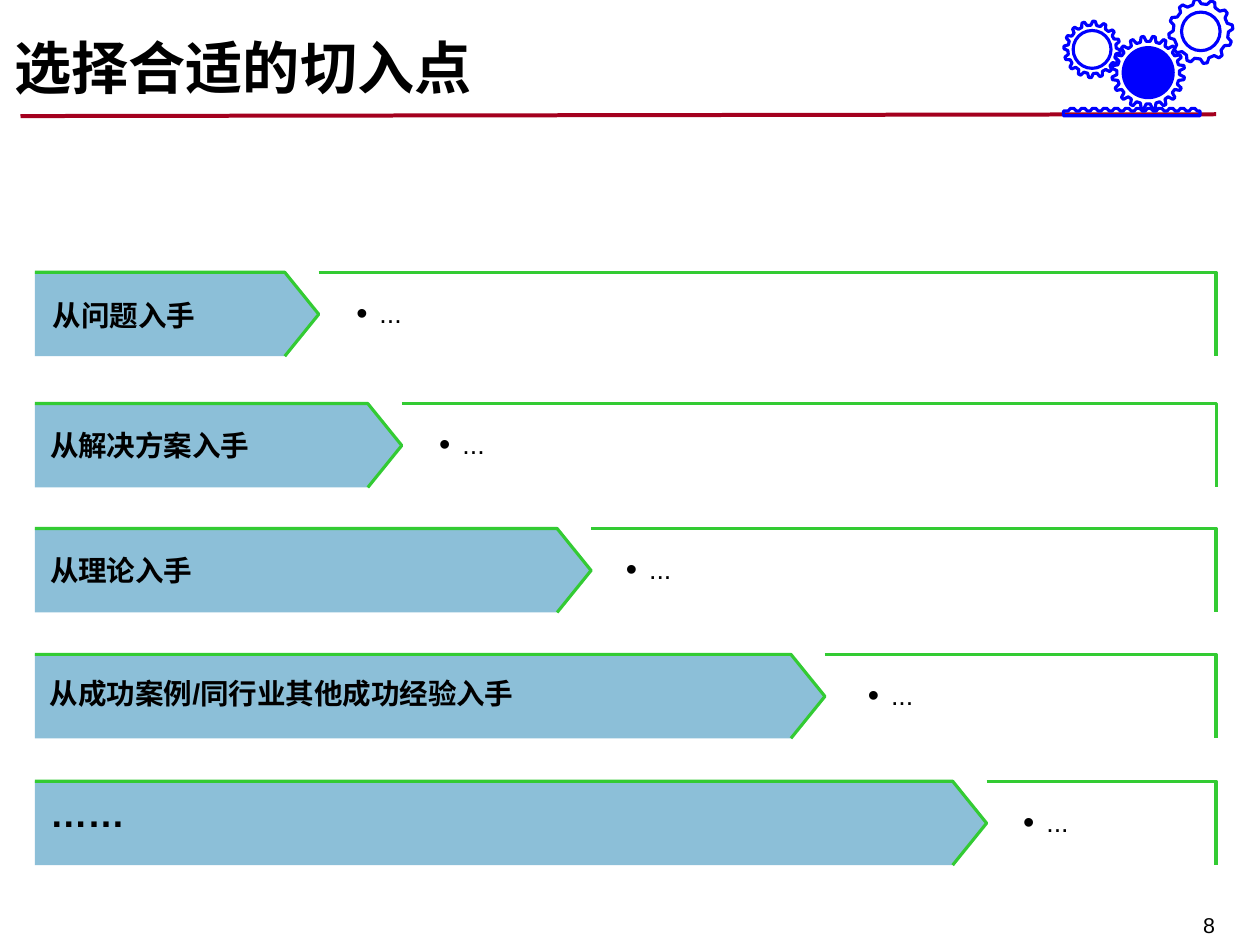
from math import cos, radians, sin

from lxml.etree import SubElement
from pptx import Presentation
from pptx.dml.color import RGBColor
from pptx.enum.shapes import MSO_CONNECTOR as CONN, MSO_SHAPE as SHAPE
from pptx.enum.text import MSO_ANCHOR as ANCHOR, MSO_AUTO_SIZE as FIT, PP_ALIGN as ALIGN
from pptx.oxml.ns import qn
from pptx.util import Pt

BLACK = RGBColor(0x00, 0x00, 0x00)
RED = RGBColor(0xA4, 0x00, 0x1E)
BLUE = RGBColor(0x00, 0x00, 0xFE)
GREEN = RGBColor(0x33, 0xCB, 0x33)
SKY = RGBColor(0x8C, 0xBF, 0xD8)

LEFT, RIGHT, HEIGHT, POINT = 19.5, 681, 47, 19
ROWS = [
    (152.5, 178.5, 199.5, "从问题入手", 29.5, 177.5, 16),
    (226, 225, 246, "从解决方案入手", 28, 250, 16),
    (296, 331, 350.5, "从理论入手", 28, 320, 16),
    (366.5, 462, 486, "从成功案例/同行业其他成功经验入手", 28, 389, 16),
    (437.5, 552.5, 573, "……", 28, 456, 21),
]
GEARS = [
    (643, 40.7, 20.4, 20, 9, 14),
    (672.5, 17.6, 18, 12, -8, 10.8),
    (611.6, 27.7, 15.8, 16, 4, 10.6),
]


class Deck:
    """Holds the style and the current slide, and adds elements in points."""

    def __init__(self, width, height, font):
        self.prs = Presentation()
        self.prs.slide_width, self.prs.slide_height = Pt(width), Pt(height)
        self.font = font
        self.s = self.prs.slides.add_slide(self.prs.slide_layouts[5])

    def set_text(self, sp, text, size, bold=False, align=ALIGN.LEFT,
                 anchor=ANCHOR.TOP, inset=0, spacing=None, bullet=False):
        tf = sp.text_frame
        frame = dict(word_wrap=True, auto_size=FIT.NONE, vertical_anchor=anchor,
                     margin_left=Pt(inset), margin_right=Pt(inset),
                     margin_top=Pt(inset / 2), margin_bottom=Pt(inset / 2))
        for name, value in frame.items():
            setattr(tf, name, value)
        p = tf.paragraphs[0]
        if bullet:
            self.bullet(p)
        p.alignment = align
        p.line_spacing = spacing
        r = p.add_run()
        r.text = text
        for name, value in dict(name=self.font, size=Pt(size), bold=bold).items():
            setattr(r.font, name, value)
        r.font.color.rgb = BLACK

    def bullet(self, p):
        pPr = p._p.get_or_add_pPr()
        pPr.set("marL", str(Pt(13)))
        pPr.set("indent", str(-Pt(13)))
        color = SubElement(pPr, qn("a:buClr"))
        SubElement(color, qn("a:srgbClr"), val=str(BLACK))
        SubElement(pPr, qn("a:buSzPct"), val="120000")
        SubElement(pPr, qn("a:buFont"), typeface=self.font)
        SubElement(pPr, qn("a:buChar"), char="•")

    def title(self, text, x, y, w, h):
        sp = self.s.shapes.title
        for name, value in dict(left=x, top=y, width=w, height=h).items():
            setattr(sp, name, Pt(value))
        self.set_text(sp, text, 32, bold=True)

    def text(self, text, x, y, w, h, size, **style):
        sp = self.s.shapes.add_textbox(Pt(x), Pt(y), Pt(w), Pt(h))
        self.set_text(sp, text, size, **style)

    def rule(self, x1, y1, x2, y2, color, width):
        c = self.s.shapes.add_connector(CONN.STRAIGHT, Pt(x1), Pt(y1), Pt(x2), Pt(y2))
        c.line.color.rgb = color
        c.line.width = Pt(width)
        SubElement(c._element.spPr, qn("a:effectLst"))

    def paint(self, sp, fill, line, width=1.75):
        sp.shadow.inherit = False
        if fill is None:
            sp.fill.background()
        else:
            sp.fill.solid()
            sp.fill.fore_color.rgb = fill
        if line is None:
            sp.line.fill.background()
        else:
            sp.line.color.rgb = line
            sp.line.width = Pt(width)

    def outline(self, points, fill=None, line=None, close=False):
        pts = [(Pt(x), Pt(y)) for x, y in points]
        fb = self.s.shapes.build_freeform(*pts[0])
        fb.add_line_segments(pts[1:], close=close)
        self.paint(fb.convert_to_shape(), fill, line)

    def circle(self, cx, cy, radius, fill=None):
        sp = self.s.shapes.add_shape(SHAPE.OVAL, Pt(cx - radius), Pt(cy - radius),
                                     Pt(2 * radius), Pt(2 * radius))
        self.paint(sp, fill, BLUE)

    def gear(self, cx, cy, radius, teeth, phase, ring):
        profile = [(-0.3, 0.86), (-0.12, 1), (0.12, 1), (0.3, 0.86)]
        points = []
        for tooth in range(teeth):
            for offset, scale in profile:
                a = radians(phase + (tooth + offset) * 360 / teeth)
                points.append((cx + radius * scale * cos(a), cy + radius * scale * sin(a)))
        self.outline(points, line=BLUE, close=True)
        self.circle(cx, cy, ring)

    def rack(self, x, y, right, bottom, teeth, pitch):
        points = [(x, y + 1.5)]
        for tooth in range(teeth):
            start = x + 2.6 + tooth * pitch
            points += [(start, y + 1.5), (start + 1.4, y), (start + 3.3, y), (start + 4.6, y + 1.5)]
        points += [(right, y + 1.5), (right, bottom), (x, bottom)]
        self.outline(points, line=BLUE, close=True)

    def row(self, top, tip, dots_x, label, label_x, label_y, size):
        mid, bottom, neck = top + HEIGHT / 2, top + HEIGHT, tip - POINT
        edge = [(LEFT, top), (neck, top), (tip, mid), (neck, bottom)]
        self.outline(edge + [(LEFT, bottom)], fill=SKY, close=True)
        self.outline([(tip, top), (RIGHT, top), (RIGHT, bottom)], line=GREEN)
        self.outline(edge, line=GREEN)
        style = dict(anchor=ANCHOR.MIDDLE, spacing=0.95)
        self.text(label, label_x, label_y - 12, neck - label_x, 24, size, bold=True, **style)
        self.text("...", dots_x, mid - 8.5, RIGHT - 6 - dots_x, 17, 15, bullet=True, **style)


def main():
    deck = Deck(705.6, 529.2, "Arial")
    deck.rule(11.5, 65, RIGHT, 64, RED, 2.25)
    deck.title("选择合适的切入点", 8, 18, 685, 38)
    for row in ROWS:
        deck.row(*row)
    for gear in GEARS:
        deck.gear(*gear)
    deck.circle(643, 40.7, 13.5, fill=BLUE)
    deck.rack(595.5, 60.7, 672, 64.8, 12, 6.16)
    deck.text("8", 540.5, 507.5, 147, 21.5, 12, align=ALIGN.RIGHT, inset=7.2)
    deck.prs.save("out.pptx")


if __name__ == "__main__":
    main()
